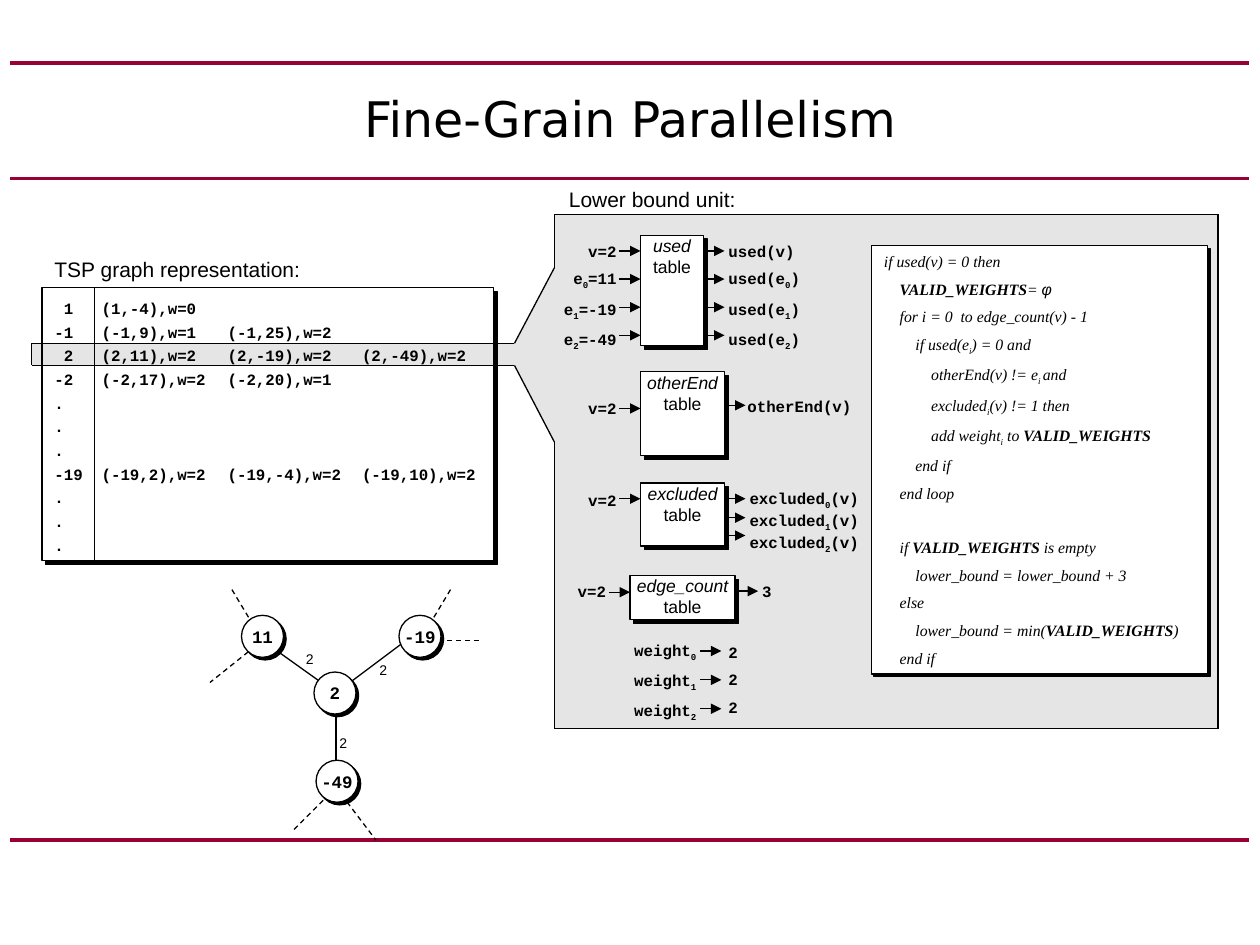
import pptx
import pptx.dml.color
import pptx.enum.dml
import pptx.enum.shapes
import pptx.enum.text
import pptx.oxml.ns
import pptx.util
from lxml import etree

COLORS = {"ink": "000000", "paper": "FFFFFF", "rule": "990033"}
COLUMNS, ROWS = 120, 90
MARKS = {"*": "bold", "|": "italic", "~": "subscript", "^": "symbol"}
ALIGN = pptx.enum.text.PP_ALIGN
ANCHOR = pptx.enum.text.MSO_ANCHOR
SHAPES = pptx.enum.shapes.MSO_SHAPE
qn = pptx.oxml.ns.qn


def color(name):
    return pptx.dml.color.RGBColor.from_string(COLORS[name])


def split_marks(text):
    state, piece = dict.fromkeys(MARKS.values(), False), ""
    for letter in text:
        if letter in MARKS:
            if piece:
                yield piece, dict(state)
            piece = ""
            state[MARKS[letter]] = not state[MARKS[letter]]
        else:
            piece += letter
    if piece:
        yield piece, dict(state)


def write_text(frame, lines, size=9, font="Courier New", bold=False, italic=False,
               align=ALIGN.LEFT, anchor=ANCHOR.TOP, before=0, spacing=None,
               tabs=(), indent=0, wrap=True, inset=True):
    frame.word_wrap = wrap
    frame.vertical_anchor = anchor
    if not inset:
        frame.margin_left = frame.margin_right = frame.margin_top = frame.margin_bottom = 0
    for index, line in enumerate(lines):
        level, text, gap = line if isinstance(line, tuple) else (0, line, before)
        paragraph = frame.paragraphs[0] if index == 0 else frame.add_paragraph()
        paragraph.alignment = align
        paragraph.space_before = pptx.util.Pt(gap if index else 0)
        if spacing:
            paragraph.line_spacing = spacing
        properties = paragraph._p.get_or_add_pPr()
        if level:
            properties.set("marL", str(level * indent))
            properties.set("indent", "0")
        if tabs:
            stops = etree.SubElement(properties, qn("a:tabLst"))
            for position in tabs:
                etree.SubElement(stops, qn("a:tab"), pos=str(position), algn="l")
        for piece, marks in split_marks(text):
            run = paragraph.add_run()
            run.text = piece
            run.font.name = "Arial" if marks["symbol"] else font
            run.font.size = pptx.util.Pt(size)
            run.font.bold = bold or marks["bold"]
            run.font.italic = italic or marks["italic"]
            run.font.color.rgb = color("ink")
            if marks["subscript"]:
                run._r.get_or_add_rPr().set("baseline", "-25000")


class Canvas:
    def __init__(self, presentation):
        self.column = presentation.slide_width / COLUMNS
        self.row = presentation.slide_height / ROWS
        self.slide = presentation.slides.add_slide(presentation.slide_layouts[5])
        self.shapes = self.slide.shapes

    def x(self, columns):
        return round(columns * self.column)

    def y(self, rows):
        return round(rows * self.row)

    def place(self, box):
        left, top, width, height = box
        return self.x(left), self.y(top), self.x(width), self.y(height)

    def title(self, box, text):
        title = self.shapes.title
        title.left, title.top, title.width, title.height = self.place(box)
        write_text(title.text_frame, [text], size=28, font="DejaVu Sans",
                   align=ALIGN.CENTER, anchor=ANCHOR.MIDDLE)

    def paint(self, shape, fill, outline=True):
        shape.shadow.inherit = False
        shape.fill.solid()
        shape.fill.fore_color.rgb = color(fill)
        if outline:
            shape.line.color.rgb = color("ink")
            shape.line.width = pptx.util.Pt(0.75)
        else:
            shape.line.fill.background()
        return shape

    def tint(self, shape):
        self.paint(shape, "ink", outline=False)
        fill = shape._element.spPr.find(qn("a:solidFill"))
        etree.SubElement(fill[0], qn("a:alpha"), val="10000")

    def tinted_box(self, box):
        self.tint(self.shapes.add_shape(SHAPES.RECTANGLE, *self.place(box)))

    def tinted_outline(self, points):
        points = [(self.x(x), self.y(y)) for x, y in points]
        builder = self.shapes.build_freeform(*points[0])
        builder.add_line_segments(points[1:], close=True)
        self.tint(builder.convert_to_shape())

    def raised(self, box, lines, kind=SHAPES.RECTANGLE, lift=0.36, **style):
        left, top, width, height = box
        for offset, fill in ((lift, "ink"), (0, "paper")):
            place = self.place((left + offset, top + offset, width, height))
            shape = self.paint(self.shapes.add_shape(kind, *place), fill)
        write_text(shape.text_frame, lines, **style)

    def text(self, box, lines, **style):
        write_text(self.shapes.add_textbox(*self.place(box)).text_frame, lines, **style)

    def line(self, start, end, stroke="ink", width=0.75, dashed=False, arrow=False):
        connector = self.shapes.add_connector(
            pptx.enum.shapes.MSO_CONNECTOR.STRAIGHT,
            self.x(start[0]), self.y(start[1]), self.x(end[0]), self.y(end[1]))
        connector.line.color.rgb = color(stroke)
        connector.line.width = pptx.util.Pt(width)
        if dashed:
            connector.line.dash_style = pptx.enum.dml.MSO_LINE.DASH
        if arrow:
            etree.SubElement(connector.line._get_or_add_ln(), qn("a:tailEnd"), type="triangle")
        etree.SubElement(connector._element.spPr, qn("a:effectLst"))

    def arrows(self, left, rows):
        for row in rows:
            self.line((left, row), (left + 2, row), arrow=True)


GRAPH_ROWS = [" 1\t(1,-4),w=0", "-1\t(-1,9),w=1\t(-1,25),w=2",
              " 2\t(2,11),w=2\t(2,-19),w=2\t(2,-49),w=2",
              "-2\t(-2,17),w=2\t(-2,20),w=1", ".", ".", ".",
              "-19\t(-19,2),w=2\t(-19,-4),w=2\t(-19,10),w=2", ".", ".", "."]
ALGORITHM = [(0, "if used(v) = 0 then", 5), (1, "*VALID_WEIGHTS*= ^φ^", 5),
             (1, "for i = 0  to edge_count(v) - 1", 5), (2, "if used(e~i~) = 0 and", 5),
             (3, "otherEnd(v) != e~i ~and", 5), (3, "excluded~i~(v) != 1 then", 5),
             (3, "add weight~i~ to *VALID_WEIGHTS*", 5), (2, "end if", 5), (1, "end loop", 5),
             (1, "if *VALID_WEIGHTS* is empty", 20), (2, "lower_bound = lower_bound + 3", 5),
             (1, "else", 5), (2, "lower_bound = min(*VALID_WEIGHTS*)", 5), (1, "end if", 5)]
SOLID_EDGES = [((25, 61), (32, 66)), ((32, 66), (40, 60)), ((32, 66), (32, 75))]
DASHED_EDGES = [((25, 61), (20, 65)), ((25, 61), (22, 56)), ((40, 61), (43, 56)),
                ((40, 61), (46, 61)), ((32, 75), (28, 79)), ((32, 75), (35.8, 80))]
NODES = [("2", 29.9, 64), ("11", 23, 58.6), ("-49", 30.1, 72.4), ("-19", 38, 58.6)]
TABLES = [("used", (61, 22.4, 6, 10.5)), ("otherEnd", (61, 35.4, 8, 8)),
          ("excluded", (61, 46, 8, 6)), ("edge_count", (60, 54.8, 10, 4.2))]
USED_ROWS = [23.9 + 2.68 * step for step in range(4)]
ARROWS = [(59, USED_ROWS), (67, USED_ROWS), (59, [38.9, 47.5]), (69, [38.6, 47.5, 49.3, 51]),
          (58, [56.4]), (70.2, [56.3]), (66.7, [62, 64.75, 67.5])]
INPUTS = [((50, 22.4, 9.9, 11), ["v=2", "e~0~=11", "e~1~=-19", "e~2~=-49"]),
          ((54, 37.4, 5.9, 3), ["v=2"]), ((54, 46.1, 5.9, 3), ["v=2"]),
          ((53, 54.8, 5.9, 3), ["v=2"]),
          ((56.5, 60.4, 11, 8.4), [f"weight~{i}~" for i in range(3)])]
OUTPUTS = [((68.2, 22.4, 9.8, 11), ["used(v)"] + [f"used(e~{i}~)" for i in range(3)]),
           ((70, 37.2, 13, 3), ["otherEnd(v)"]), ((71.4, 54.8, 3.4, 3), ["3"]),
           ((68.2, 60.6, 9.8, 8.4), ["2"] * 3)]
CALLOUT = [(52.8, 25.5), (49, 32.7), (49, 34.8), (52.8, 42.1)]
OUTLINES = [[(49, 32.7), (3, 32.7), (3, 34.8), (49, 34.8)],
            [(49, 32.7), (52.8, 25.5), (52.8, 20.4), (116, 20.4), (116, 69.4),
             (52.8, 69.4), (52.8, 42.1), (49, 34.8)]]


def main():
    presentation = pptx.Presentation()
    presentation.slide_width = pptx.util.Inches(10)
    presentation.slide_height = pptx.util.Inches(7.5)
    canvas = Canvas(presentation)
    for row in (6, 17, 80):
        canvas.line((1, row), (119, row), stroke="rule", width=2.25)
    canvas.title((6, 6, 108, 10.4), "Fine-Grain Parallelism")

    canvas.raised((4, 27.4, 43, 26), GRAPH_ROWS, bold=True, spacing=1.25,
                  tabs=[canvas.x(stop) for stop in (4.5, 16.5, 29.3)])
    canvas.line((9, 27.4), (9, 53.4))
    canvas.tinted_box((3, 32.7, 46, 2.1))
    canvas.tinted_box((52.8, 20.4, 63.2, 49))
    canvas.tinted_outline(CALLOUT)
    for outline in OUTLINES:
        for start, end in zip(outline, outline[1:]):
            canvas.line(start, end)
    canvas.text((4, 23.8, 28, 3.6), ["TSP graph representation:"], size=12, font="Arial")
    canvas.text((53, 17.2, 28, 3.6), ["Lower bound unit:"], size=12, font="Arial")

    for start, end in DASHED_EDGES:
        canvas.line(start, end, dashed=True)
    for start, end in SOLID_EDGES:
        canvas.line(start, end)
    for name, left, top in NODES:
        canvas.raised((left, top, 4, 4), [name], kind=SHAPES.OVAL, lift=0.25, size=10, bold=True,
                      align=ALIGN.CENTER, anchor=ANCHOR.MIDDLE, wrap=False, inset=False)
    for left, top in ((27, 61.4), (34, 62.4), (30.2, 69.4)):
        canvas.text((left, top, 5, 2.8), ["2"], size=8, font="Arial", align=ALIGN.CENTER)

    for name, box in TABLES:
        canvas.raised(box, [f"|{name}|", "table"], size=10, font="Arial",
                      align=ALIGN.CENTER, wrap=False, inset=False)
    for left, rows in ARROWS:
        canvas.arrows(left, rows)
    for box, lines in INPUTS:
        canvas.text(box, lines, bold=True, align=ALIGN.RIGHT, before=5)
    for box, lines in OUTPUTS:
        canvas.text(box, lines, bold=True, before=5)
    canvas.text((70.2, 46, 13.8, 6.6), [f"excluded~{i}~(v)" for i in range(3)], bold=True)
    canvas.raised((83, 23.4, 32, 40.8), ALGORITHM, lift=0.25, font="Times New Roman",
                  italic=True, indent=canvas.x(1.5))
    presentation.save("out.pptx")


if __name__ == "__main__":
    main()
